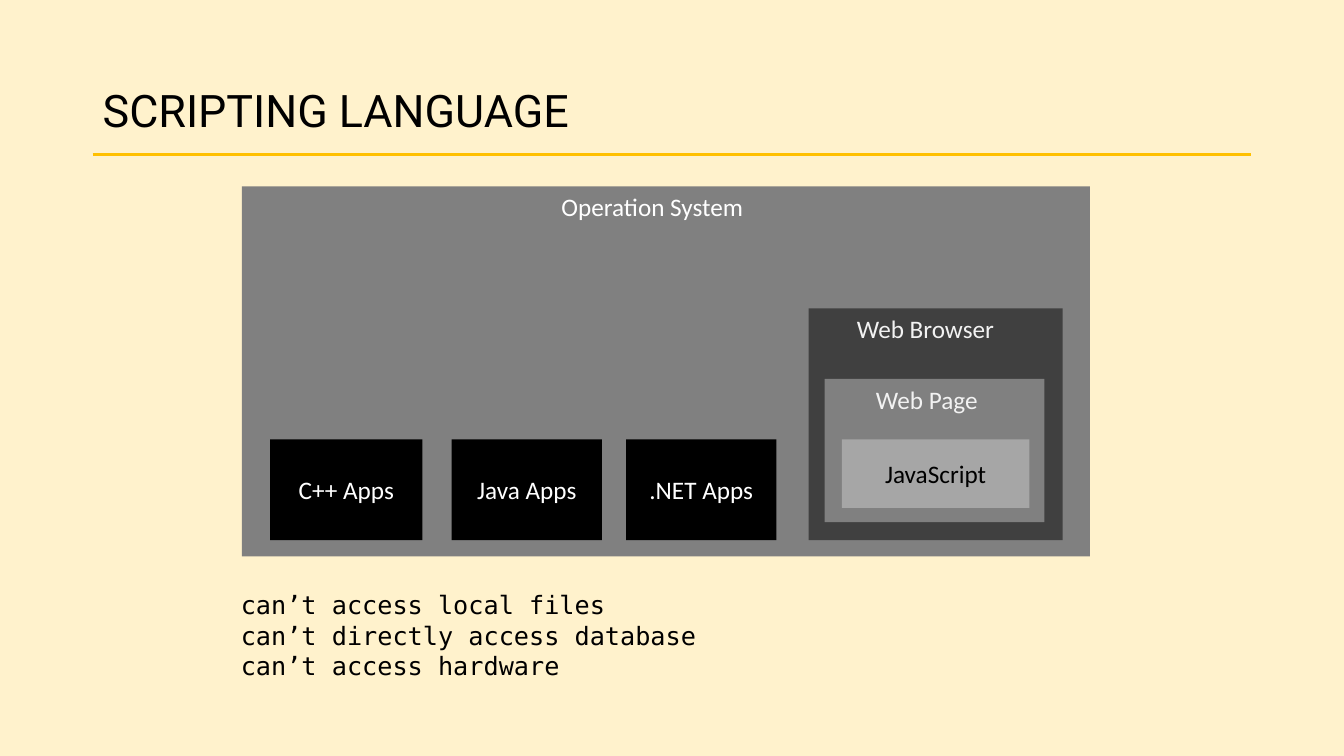
from pptx import Presentation
from pptx.dml.color import RGBColor
from pptx.enum.shapes import MSO_CONNECTOR, MSO_SHAPE
from pptx.enum.text import MSO_ANCHOR, PP_ALIGN
from pptx.oxml.ns import qn
from pptx.util import Inches, Pt
from lxml import etree

RECTANGLE, STRAIGHT = MSO_SHAPE.RECTANGLE, MSO_CONNECTOR.STRAIGHT
TOP, MIDDLE = MSO_ANCHOR.TOP, MSO_ANCHOR.MIDDLE
LEFT, CENTER = PP_ALIGN.LEFT, PP_ALIGN.CENTER

CREAM = RGBColor(0xFF, 0xF2, 0xCC)
GOLD = RGBColor(0xFF, 0xC0, 0x00)
BLACK = RGBColor(0x00, 0x00, 0x00)
DARK_GRAY = RGBColor(0x40, 0x40, 0x40)
GRAY = RGBColor(0x80, 0x80, 0x80)
LIGHT_GRAY = RGBColor(0xA6, 0xA6, 0xA6)
OFF_WHITE = RGBColor(0xF2, 0xF2, 0xF2)
WHITE = RGBColor(0xFF, 0xFF, 0xFF)

prs = Presentation()
prs.slide_width, prs.slide_height = Inches(13.33), Inches(7.5)
slide = prs.slides.add_slide(prs.slide_layouts[6])
slide.background.fill.solid()
slide.background.fill.fore_color.rgb = CREAM


def add_box(left, top, width, height, color):
    box = slide.shapes.add_shape(
        RECTANGLE, Inches(left), Inches(top), Inches(width), Inches(height))
    box.shadow.inherit = False
    box.fill.solid()
    box.fill.fore_color.rgb = color
    box.line.fill.background()
    return box


def write(shape, text, color, font="Calibri", size=18, align=LEFT, anchor=TOP):
    frame = shape.text_frame
    frame.text = text
    frame.word_wrap = True
    frame.vertical_anchor = anchor
    for paragraph in frame.paragraphs:
        paragraph.alignment = align
        for run in paragraph.runs:
            run.font.name, run.font.size = font, Pt(size)
            run.font.color.rgb = color


# Title and the rule below it
margin = 0.92
content_width = 13.33 - 2 * margin
title = slide.shapes.add_textbox(
    Inches(margin), Inches(0.4), Inches(content_width), Inches(1.45))
write(title, "SCRIPTING LANGUAGE", BLACK, font="Roboto", size=32, anchor=MIDDLE)
title.text_frame.paragraphs[0].line_spacing = 0.9

title_rule = slide.shapes.add_connector(
    STRAIGHT, Inches(margin), Inches(1.53),
    Inches(margin + content_width), Inches(1.53))
title_rule.line.color.rgb = GOLD
title_rule.line.width = Pt(2.25)
etree.SubElement(title_rule._element.spPr, qn("a:effectLst"))

# Nested environments, outermost first, each with a label at its top
environments = [
    ("Operation System", 2.4, 1.85, 8.41, 3.67, GRAY, 5.47, 2.25, WHITE),
    ("Web Browser", 8.02, 3.06, 2.52, 2.3, DARK_GRAY, 8.4, 1.74, OFF_WHITE),
    ("Web Page", 8.18, 3.76, 2.18, 1.42, GRAY, 8.59, 1.36, OFF_WHITE),
]
for name, left, top, width, height, color, label_left, label_width, ink in environments:
    add_box(left, top, width, height, color)
    label = slide.shapes.add_textbox(
        Inches(label_left), Inches(top), Inches(label_width), Inches(0.4))
    write(label, name, ink)

# Programs, all starting on the same row
program_top = 4.36
programs = [
    ("C++ Apps", 2.68, 1.51, 1, BLACK, WHITE),
    ("Java Apps", 4.48, 1.49, 1, BLACK, WHITE),
    (".NET Apps", 6.21, 1.49, 1, BLACK, WHITE),
    ("JavaScript", 8.35, 1.86, 0.68, LIGHT_GRAY, BLACK),
]
for name, left, width, height, color, ink in programs:
    program = add_box(left, program_top, width, height, color)
    write(program, name, ink, align=CENTER, anchor=MIDDLE)

# Limits of a scripting language
limits = slide.shapes.add_textbox(
    Inches(2.29), Inches(5.8), Inches(4.9), Inches(1.01))
write(limits, "can’t access local files\n"
              "can’t directly access database\n"
              "can’t access hardware", BLACK, font="DejaVu Sans Mono")

prs.save("out.pptx")
